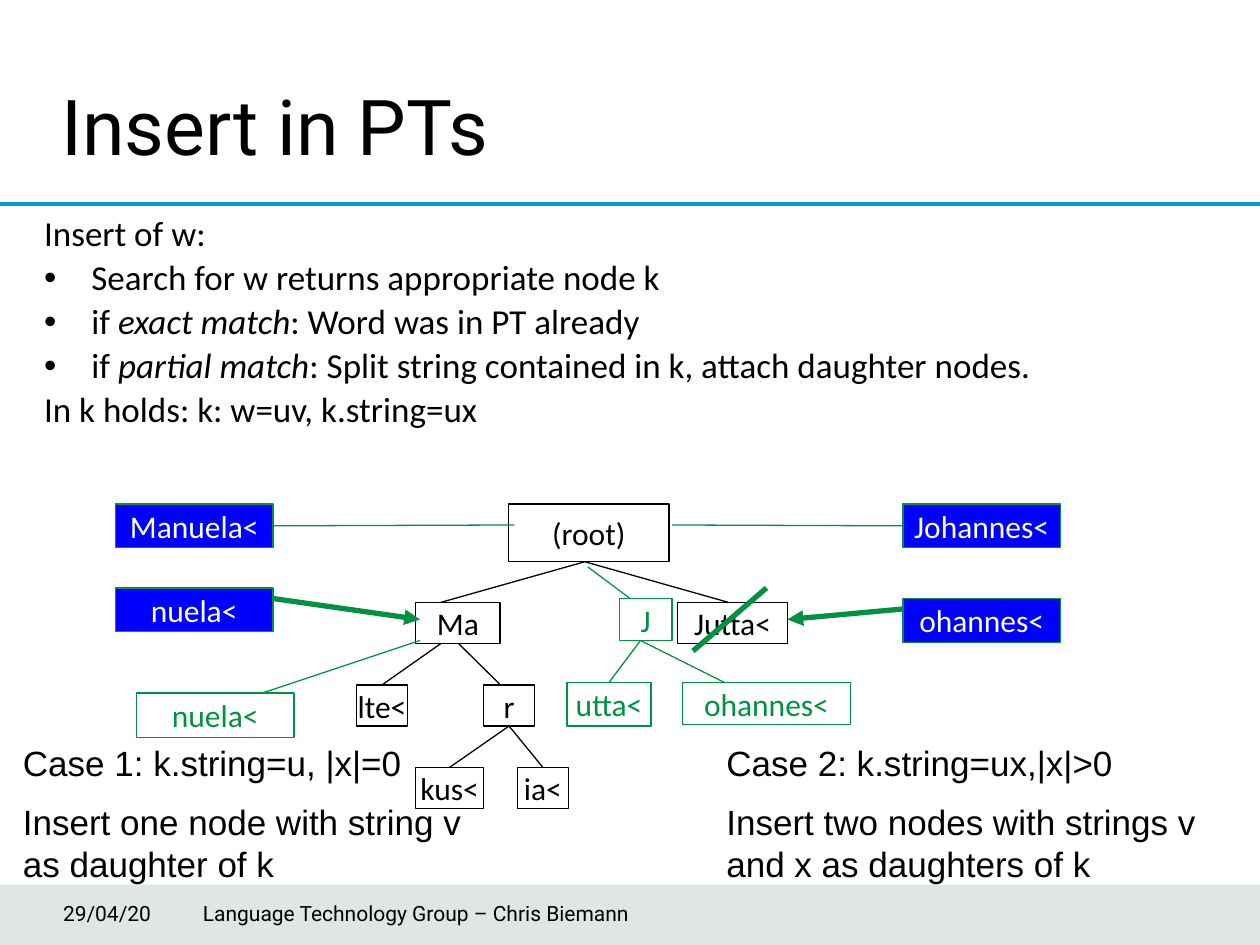
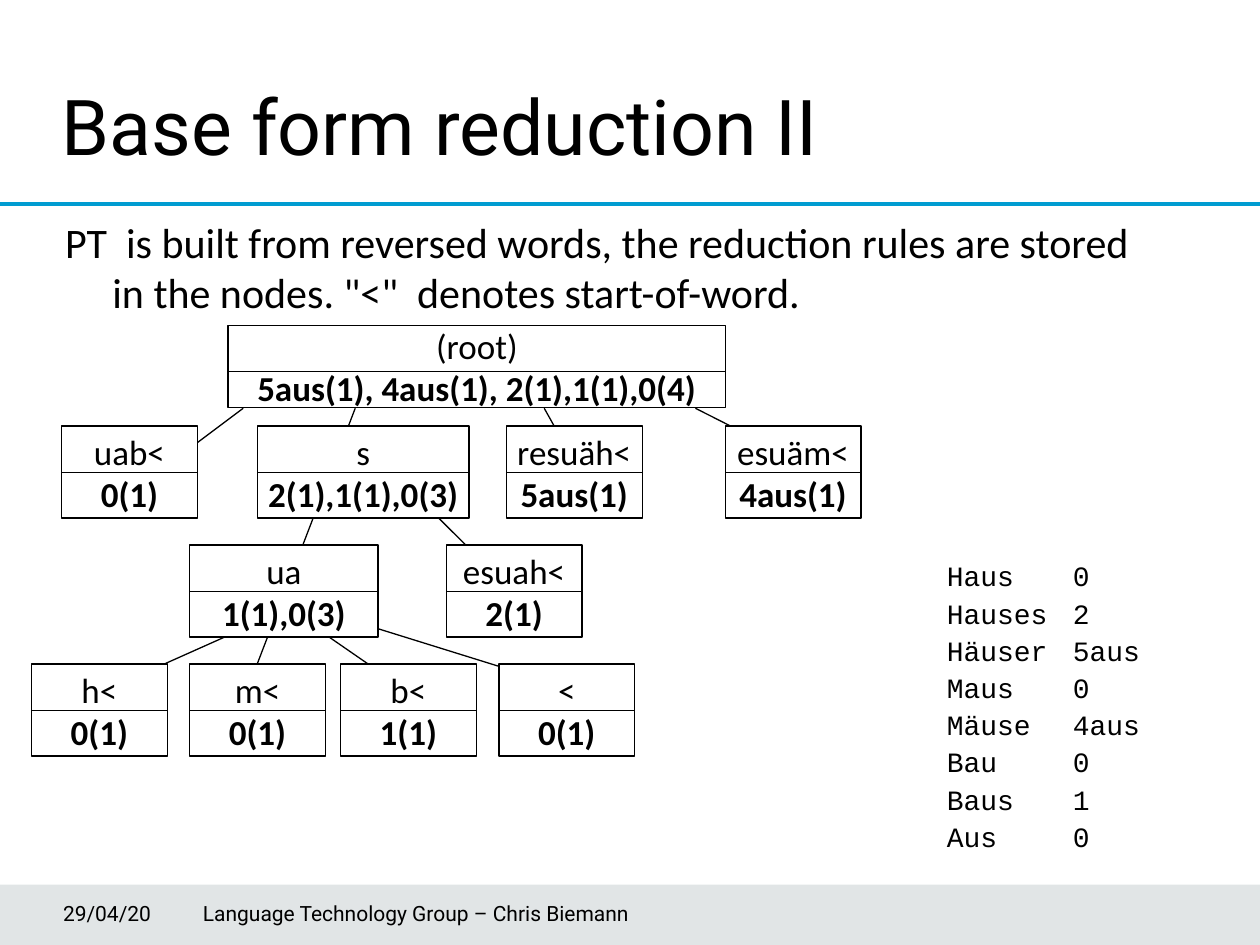
from lxml.etree import SubElement
from pptx import Presentation
from pptx.dml.color import RGBColor
from pptx.enum.shapes import MSO_CONNECTOR, MSO_SHAPE
from pptx.enum.text import MSO_ANCHOR, MSO_AUTO_SIZE, PP_ALIGN
from pptx.oxml.ns import qn
from pptx.util import Pt

BLACK = RGBColor(0, 0, 0)
WHITE = RGBColor(255, 255, 255)
GREEN = RGBColor(0x00, 0x92, 0x42)
BLUE = RGBColor(0, 0, 255)
RULE_BLUE = RGBColor(0x00, 0x9C, 0xD1)
BAND_GREY = RGBColor(0x3B, 0x51, 0x5B)
TOP, LEFT, BOTTOM, RIGHT = 0, 1, 2, 3


def draw_line(slide, start, end, color=BLACK, width=0.75, arrow=False):
    line = slide.shapes.add_connector(
        MSO_CONNECTOR.STRAIGHT, *(Pt(v) for v in (*start, *end)))
    line.line.color.rgb = color
    line.line.width = Pt(width)
    properties = line._element.spPr
    if arrow:
        SubElement(properties.find(qn("a:ln")), qn("a:tailEnd"), type="triangle")
    SubElement(properties, qn("a:effectLst"))
    return line


def draw_node(slide, lines, box, size, fill=WHITE, outline=BLACK, color=BLACK):
    """Draw a tree node; lines after the first are bold."""
    node = slide.shapes.add_shape(MSO_SHAPE.RECTANGLE, *(Pt(v) for v in box))
    node.shadow.inherit = False
    if fill is None:
        node.fill.background()
    else:
        node.fill.solid()
        node.fill.fore_color.rgb = fill
    node.line.color.rgb = outline
    node.line.width = Pt(0.75)
    node.text_frame.word_wrap = False
    node.text_frame.vertical_anchor = MSO_ANCHOR.MIDDLE
    paragraph = node.text_frame.paragraphs[0]
    paragraph.alignment = PP_ALIGN.CENTER
    paragraph.font.name = "Calibri"
    paragraph.font.size = Pt(size)
    paragraph.font.color.rgb = color
    for number, text in enumerate(lines):
        if number:
            paragraph.add_line_break()
        run = paragraph.add_run()
        run.text = text
        if number:
            run.font.bold = True
    return node


prs = Presentation()
prs.slide_width = Pt(720)
prs.slide_height = Pt(540)

# Body paragraphs: (bulleted, [(text, italic), ...])
insert_steps = [
    (False, [("Insert of w:", False)]),
    (True, [("Search for w returns appropriate node k", False)]),
    (True, [("if ", False), ("exact match", True),
            (": Word was in PT already", False)]),
    (True, [("if ", False), ("partial match", True),
            (": Split string contained in k, attach daughter nodes.", False)]),
    (False, [("In k holds: k: w=uv, k.string=ux", False)]),
]
reduction_intro = [
    (False, [("PT  is built from reversed words, the reduction rules are stored "
              "in the nodes. \"<\"  denotes start-of-word.", False)]),
]
pages = [
    ("Insert in PTs", (18, 120, 624, 138), 20, 0.9, insert_steps),
    ("Base form reduction II", (30, 120, 642, 78), 24, 1.0, reduction_intro),
]
footers = [("29/04/20", 36, 71), ("Language Technology Group – Chris Biemann", 116, 354)]

slides = []
for title_text, body_box, body_size, spacing, content in pages:
    slide = prs.slides.add_slide(prs.slide_layouts[1])
    slides.append(slide)

    band = slide.shapes.add_shape(
        MSO_SHAPE.RECTANGLE, Pt(0), Pt(505.5), Pt(720), Pt(34.5))
    band.shadow.inherit = False
    band.line.fill.background()
    band.fill.solid()
    band.fill.fore_color.rgb = BAND_GREY
    band_color = band._element.spPr.find(qn("a:solidFill"))[0]
    SubElement(band_color, qn("a:alpha"), val="15000")
    draw_line(slide, (0, 116.6), (720, 116.6), RULE_BLUE, 2)

    title = slide.shapes.title
    title.left, title.top, title.width, title.height = Pt(28), Pt(38), Pt(541.5), Pt(66)
    title.text_frame.text = title_text
    title.text_frame.auto_size = MSO_AUTO_SIZE.NONE
    title.text_frame.vertical_anchor = MSO_ANCHOR.MIDDLE
    heading = title.text_frame.paragraphs[0]
    heading.alignment = PP_ALIGN.LEFT
    heading.font.name = "Roboto"
    heading.font.size = Pt(44)
    heading.font.color.rgb = BLACK

    body = slide.placeholders[1]
    body.left, body.top, body.width, body.height = (Pt(v) for v in body_box)
    frame = body.text_frame
    frame.auto_size = MSO_AUTO_SIZE.NONE
    frame.vertical_anchor = MSO_ANCHOR.TOP
    for number, (bulleted, parts) in enumerate(content):
        paragraph = frame.add_paragraph() if number else frame.paragraphs[0]
        paragraph.line_spacing = spacing
        paragraph.space_before = Pt(0.18 * body_size)
        properties = paragraph._p.get_or_add_pPr()
        properties.set("marL", str(Pt(27)))
        properties.set("indent", str(Pt(-27)))
        if bulleted:
            SubElement(properties, qn("a:buChar"), char="•")
        else:
            SubElement(properties, qn("a:buNone"))
        paragraph.font.name = "Calibri"
        paragraph.font.size = Pt(body_size)
        paragraph.font.color.rgb = BLACK
        for text, italic in parts:
            run = paragraph.add_run()
            run.text = text
            if italic:
                run.font.italic = True

    for text, left, width in footers:
        footer = slide.shapes.add_textbox(Pt(left), Pt(507.5), Pt(width), Pt(29))
        footer.text_frame.word_wrap = True
        footer.text_frame.margin_left = Pt(0)
        footer.text_frame.vertical_anchor = MSO_ANCHOR.MIDDLE
        footer.text_frame.text = text
        paragraph = footer.text_frame.paragraphs[0]
        paragraph.font.name = "Roboto"
        paragraph.font.size = Pt(12)
        paragraph.font.color.rgb = BLACK

insert_slide, reduction_slide = slides

# Insert in PTs: existing tree in black, new nodes in green, search strings in blue
tree_nodes = [
    ("Ma", 237.6, 344.2, 48.2), ("lte<", 203.8, 391.4, 29),
    ("r", 276.4, 391.4, 29), ("ia<", 295.7, 438.5, 29),
    ("kus<", 237.6, 438.5, 38.7), ("Jutta<", 387.2, 344.2, 62.8),
]
search_strings = [
    ("Manuela<", 66, 288), ("nuela<", 66, 336),
    ("Johannes<", 516, 288), ("ohannes<", 516, 342),
]
new_nodes = [
    ("nuela<", (78, 396, 90, 25.5)), ("J", (354, 342, 30, 24)),
    ("utta<", (324, 390, 48, 25)), ("ohannes<", (390, 390, 96, 24)),
]
nodes = {}
draw_node(insert_slide, ["(root)"], (290.6, 288, 91.7, 33), 18, fill=None)
for text, left, top, width in tree_nodes:
    nodes[text] = draw_node(insert_slide, [text], (left, top, width, 23.5), 18)
for text, left, top in search_strings:
    nodes[text] = draw_node(insert_slide, [text], (left, top, 90, 25), 18,
                            BLUE, GREEN, WHITE)
for text, box in new_nodes:
    nodes[text] = draw_node(insert_slide, [text], box, 18, WHITE, GREEN, GREEN)

for leaf in ("kus<", "ia<"):
    link = draw_line(insert_slide, (291, 415), (291, 438))
    link.begin_connect(nodes["r"], BOTTOM)
    link.end_connect(nodes[leaf], TOP)

joined_links = [
    ((252, 367.7), "lte<", TOP, BLACK), ((366, 366), "utta<", TOP, GREEN),
    ((294, 300), "Manuela<", RIGHT, GREEN), ((384, 300), "Johannes<", LEFT, GREEN),
]
for start, text, side, color in joined_links:
    link = draw_line(insert_slide, start, start, color)
    link.end_connect(nodes[text], side)

free_links = [
    ((286, 391.4), (262, 367.7), BLACK), ((334.2, 321), (252, 344.2), BLACK),
    ((334.2, 321), (416.2, 344.2), BLACK), ((240, 366), (150, 396), GREEN),
    ((360, 342), (336, 324), GREEN), ((366, 366), (414, 390), GREEN),
]
for start, end, color in free_links:
    draw_line(insert_slide, start, end, color)
draw_line(insert_slide, (156, 342), (240, 354), GREEN, 3, arrow=True)
draw_line(insert_slide, (516, 348), (450, 354), GREEN, 3, arrow=True)
draw_line(insert_slide, (396, 372), (438, 336), GREEN, 3)

cases = [
    (6, 282, ["Case 1: k.string=u, |x|=0",
              "Insert one node with string v as daughter of k"]),
    (408, 288, ["Case 2: k.string=ux,|x|>0",
                "Insert two nodes with strings v and x as daughters of k"]),
]
for left, width, lines in cases:
    case = insert_slide.shapes.add_textbox(Pt(left), Pt(420), Pt(width), Pt(91.5))
    case.text_frame.word_wrap = True
    case.text_frame.text = "\n".join(lines)
    for paragraph in case.text_frame.paragraphs:
        paragraph.space_before = Pt(10)
        paragraph.font.name = "Arial"
        paragraph.font.size = Pt(20)
        paragraph.font.color.rgb = BLACK

# Base form reduction II: links lie behind the nodes
reduction_links = [
    ((139, 233.3), (104.4, 259.2)), ((203, 233.3), (139, 400.3)),
    ((311, 233.3), (328.3, 264.2)), ((397.4, 233.3), (448.6, 259.2)),
    ((276.5, 321.8), (224.6, 270)), ((69.8, 390.2), (152, 353.5)),
    ((233.3, 395.3), (172.8, 353.5)), ((315.4, 390.2), (181.4, 348.5)),
]
for start, end in reduction_links:
    draw_line(reduction_slide, start, end)

ROOT_TOP, ROW_TOP, ROW_PITCH, DIVIDER, NODE_HEIGHT = 186, 243.5, 68, 26.4, 52.5
levels = [
    [("uab<", "0(1)", 35.2, 77.6), ("s", "2(1),1(1),0(3)", 147.3, 120.7),
     ("resuäh<", "5aus(1)", 289.4, 77.6), ("esuäm<", "4aus(1)", 414.4, 77.6)],
    [("ua", "1(1),0(3)", 108.4, 107.7), ("esuah<", "2(1)", 255, 77.6)],
    [("h<", "0(1)", 18, 77.6), ("m<", "0(1)", 108.4, 77.6),
     ("b<", "1(1)", 194.6, 77.6), ("<", "0(1)", 285.1, 77.6)],
]
draw_node(reduction_slide, ["(root)", "5aus(1), 4aus(1), 2(1),1(1),0(4)"],
          (130.3, ROOT_TOP, 284.4, 47), 20, fill=None)
draw_line(reduction_slide, (130.3, ROOT_TOP + DIVIDER), (414.7, ROOT_TOP + DIVIDER))
for level, row in enumerate(levels):
    top = ROW_TOP + level * ROW_PITCH
    for suffix, rules, left, width in row:
        draw_node(reduction_slide, [suffix, rules], (left, top, width, NODE_HEIGHT), 20)
        draw_line(reduction_slide, (left, top + DIVIDER), (left + width, top + DIVIDER))

word_rules = [
    ("Haus", "0"), ("Hauses", "2"), ("Häuser", "5aus"), ("Maus", "0"),
    ("Mäuse", "4aus"), ("Bau", "0"), ("Baus", "1"), ("Aus", "0"),
]
word_list = reduction_slide.shapes.add_textbox(Pt(534), Pt(318), Pt(162), Pt(173.5))
word_list.text_frame.word_wrap = True
word_list.text_frame.text = "\n".join(f"{word}\t{rule}" for word, rule in word_rules)
for paragraph in word_list.text_frame.paragraphs:
    paragraph.line_spacing = 0.9
    paragraph.space_before = Pt(4)
    tabs = SubElement(paragraph._p.get_or_add_pPr(), qn("a:tabLst"))
    SubElement(tabs, qn("a:tab"), pos=str(Pt(72)), algn="l")
    paragraph.font.name = "Courier New"
    paragraph.font.size = Pt(16)
    paragraph.font.color.rgb = BLACK

prs.save("out.pptx")
